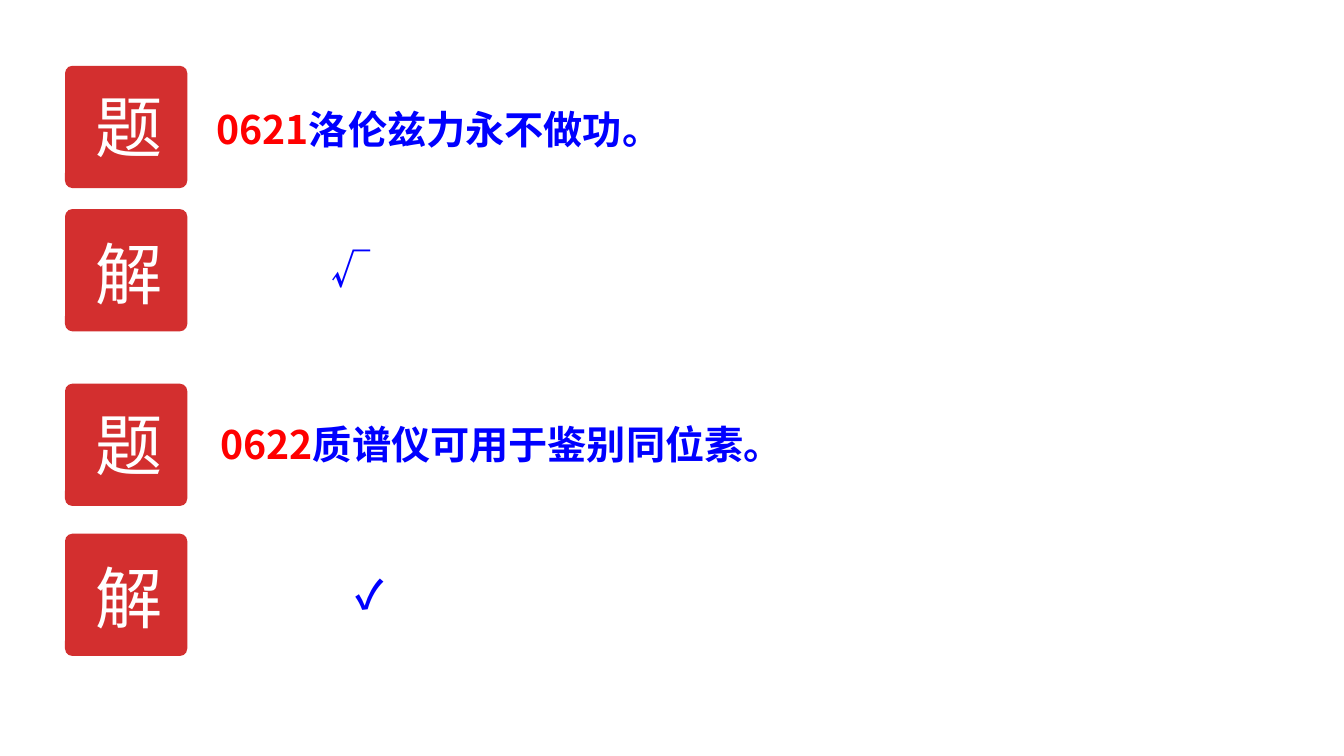
import pptx
import pptx.util
import pptx.dml.color
import pptx.enum.shapes
import pptx.enum.text
import pptx.oxml
import pptx.oxml.ns
from pptx.util import Cm

FONT = "Noto Sans CJK SC"
COLORS = {"paper": "FFFFFF", "badge": "D32F2F", "number": "FF0000", "body": "0000FF"}

# Badges: character, top of the square, offset of the character below it (cm)
BADGES = [
    ("题", 1.66, 0.37),
    ("解", 5.27, 0.45),
    ("题", 9.67, 0.37),
    ("解", 13.45, 0.45),
]
BADGE_LEFT, BADGE_SIZE = 1.64, 3.08
CHARACTER_WIDTH, CHARACTER_HEIGHT = 2.06, 2.31

# Lines: left, top, width (cm), anchor, alignment, wrap, runs of (text, colour)
MIDDLE = pptx.enum.text.MSO_ANCHOR.MIDDLE
TOP = pptx.enum.text.MSO_ANCHOR.TOP
JUSTIFY = pptx.enum.text.PP_ALIGN.JUSTIFY
LEFT = pptx.enum.text.PP_ALIGN.LEFT
CENTER = pptx.enum.text.PP_ALIGN.CENTER
LINES = [
    (5.21, 2.51, 18.06, MIDDLE, JUSTIFY, True,
     [("0621", "number"), ("洛伦兹力永不做功。", "body")]),
    (8.1, 6.05, 3.38, MIDDLE, JUSTIFY, True, [("√", "body")]),
    (5.31, 10.46, 15.57, TOP, LEFT, True,
     [("0622", "number"), ("质谱仪可用于鉴别同位素。", "body")]),
    (8.71, 14.25, 1.5, TOP, LEFT, False, [("✓", "body")]),
]
LINE_HEIGHT = 1.45


def color(name):
    return pptx.dml.color.RGBColor.from_string(COLORS[name])


def add_text(slide, left, top, width, height, runs, size, bold, anchor, alignment, wrap):
    box = slide.shapes.add_textbox(Cm(left), Cm(top), Cm(width), Cm(height))
    frame = box.text_frame
    frame.word_wrap = wrap
    frame.auto_size = pptx.enum.text.MSO_AUTO_SIZE.SHAPE_TO_FIT_TEXT
    frame.vertical_anchor = anchor
    paragraph = frame.paragraphs[0]
    paragraph.alignment = alignment
    for text, color_name in runs:
        run = paragraph.add_run()
        run.text = text
        run.font.size = pptx.util.Pt(size)
        run.font.bold = bold
        run.font.color.rgb = color(color_name)
        run.font.name = FONT
        # East Asian typeface
        east_asian = pptx.oxml.parse_xml(
            f'<a:ea {pptx.oxml.ns.nsdecls("a")} typeface="{FONT}"/>')
        run.font._element.append(east_asian)


def add_badge(slide, character, top, offset):
    square = slide.shapes.add_shape(
        pptx.enum.shapes.MSO_SHAPE.ROUNDED_RECTANGLE,
        Cm(BADGE_LEFT), Cm(top), Cm(BADGE_SIZE), Cm(BADGE_SIZE))
    square.adjustments[0] = 0.06
    square.shadow.inherit = False
    square.fill.solid()
    square.fill.fore_color.rgb = color("badge")
    square.line.fill.background()
    left = BADGE_LEFT + (BADGE_SIZE - CHARACTER_WIDTH) / 2
    add_text(slide, left, top + offset, CHARACTER_WIDTH, CHARACTER_HEIGHT,
             [(character, "paper")], 48, False, TOP, CENTER, True)


def main():
    presentation = pptx.Presentation()
    presentation.slide_width = Cm(33.87)
    presentation.slide_height = Cm(19.05)
    slide = presentation.slides.add_slide(presentation.slide_layouts[6])
    slide.background.fill.solid()
    slide.background.fill.fore_color.rgb = color("paper")

    # Question and answer badges
    for character, top, offset in BADGES:
        add_badge(slide, character, top, offset)

    # Questions and their answers
    for left, top, width, anchor, alignment, wrap, runs in LINES:
        add_text(slide, left, top, width, LINE_HEIGHT, runs, 28, True,
                 anchor, alignment, wrap)

    presentation.save("out.pptx")


if __name__ == "__main__":
    main()
